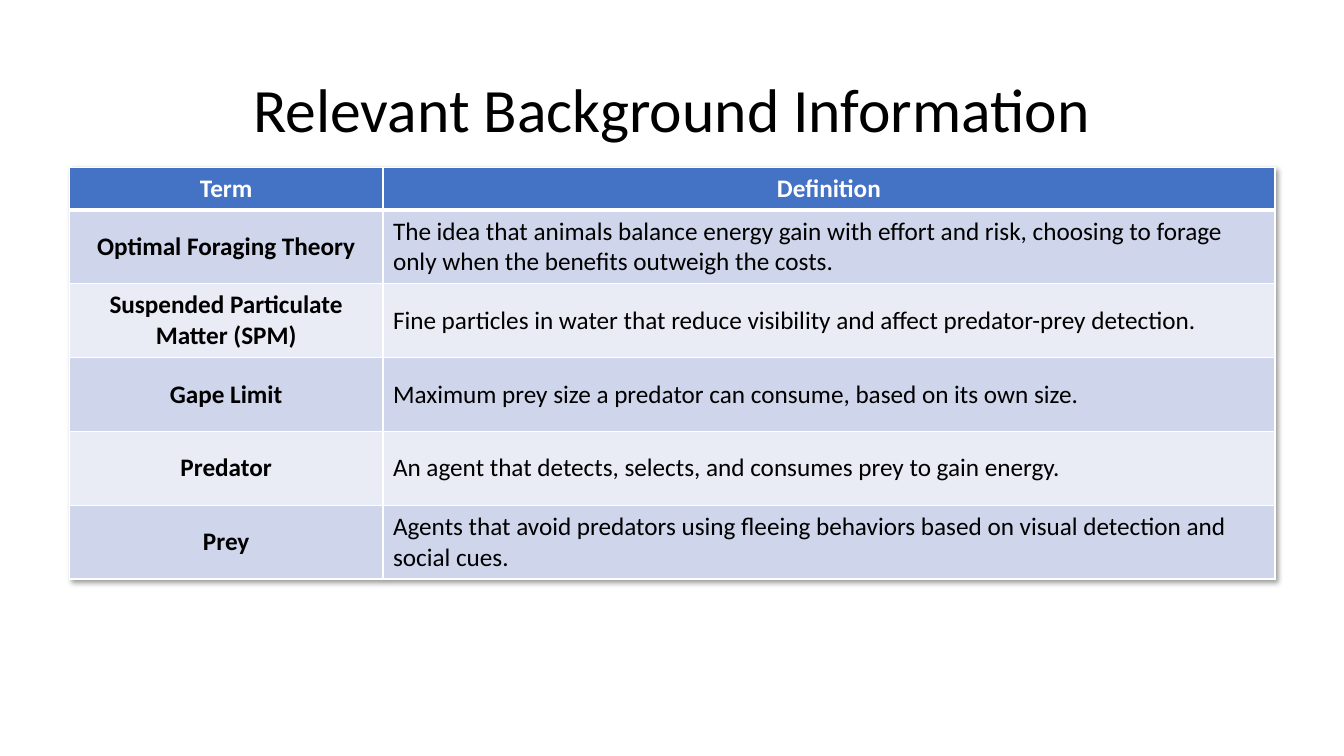
"""Build a slide with a title and a table of terms and definitions."""
from lxml.etree import SubElement
from pptx import Presentation
from pptx.dml.color import RGBColor
from pptx.enum.text import MSO_ANCHOR, PP_ALIGN
from pptx.oxml import parse_xml
from pptx.oxml.ns import qn
from pptx.util import Cm, Pt

WHITE, BLACK, HEADER = "FFFFFF", "000000", "4472C4"
BANDS = ("CFD5EA", "E9EBF5")
SHADOW = (
    '<a:effectLst xmlns:a="http://schemas.openxmlformats.org/drawingml/2006/main">'
    '<a:outerShdw blurRad="50800" dist="38100" dir="2700000" algn="tl" rotWithShape="0">'
    '<a:srgbClr val="000000"><a:alpha val="40000"/></a:srgbClr>'
    '</a:outerShdw></a:effectLst>'
)
ROWS = [
    ("Term", "Definition"),
    ("Optimal Foraging Theory",
     "The idea that animals balance energy gain with effort and risk, "
     "choosing to forage only when the benefits outweigh the costs."),
    ("Suspended Particulate Matter (SPM)",
     "Fine particles in water that reduce visibility and affect predator-prey detection."),
    ("Gape Limit",
     "Maximum prey size a predator can consume, based on its own size."),
    ("Predator",
     "An agent that detects, selects, and consumes prey to gain energy."),
    ("Prey",
     "Agents that avoid predators using fleeing behaviors based on "
     "visual detection and social cues."),
]


def rgb(value):
    return RGBColor.from_string(value)


class SlideBuilder:
    def __init__(self, slide, font="Calibri"):
        self.slide = slide
        self.font = font

    def style(self, p, size, color, bold=False, centered=True):
        p.alignment = PP_ALIGN.CENTER if centered else PP_ALIGN.LEFT
        p.font.name, p.font.size, p.font.bold = self.font, Pt(size), bold
        p.font.color.rgb = rgb(color)

    def title(self, text, left, top, width, height):
        tf = self.slide.shapes.add_textbox(Cm(left), Cm(top), Cm(width), Cm(height)).text_frame
        tf.word_wrap = True
        tf.vertical_anchor = MSO_ANCHOR.MIDDLE
        p = tf.paragraphs[0]
        p.text = text
        p.line_spacing = 0.9
        self.style(p, 44, BLACK)

    def borders(self, cell, top, bottom):
        tc_pr = cell._tc.get_or_add_tcPr()
        for side, width in (("L", 1), ("R", 1), ("T", top), ("B", bottom)):
            ln = SubElement(tc_pr, qn(f"a:ln{side}"), w=str(Pt(width)))
            fill = SubElement(ln, qn("a:solidFill"))
            SubElement(fill, qn("a:srgbClr"), val=WHITE)

    def cell(self, cell, text, row, col):
        header = row == 0
        cell.text = text
        cell.vertical_anchor = MSO_ANCHOR.MIDDLE
        self.style(cell.text_frame.paragraphs[0], 18, WHITE if header else BLACK,
                   bold=header or col == 0, centered=header or col == 0)
        self.borders(cell, 3 if row == 1 else 1, 3 if header else 1)
        cell.fill.solid()
        cell.fill.fore_color.rgb = rgb(HEADER if header else BANDS[(row - 1) % 2])

    def table(self, rows, left, top, widths, header_height, row_height):
        heights = [header_height] + [row_height] * (len(rows) - 1)
        table = self.slide.shapes.add_table(
            len(rows), len(widths), Cm(left), Cm(top),
            Cm(sum(widths)), Cm(sum(heights))).table
        table._tbl.tblPr.insert(0, parse_xml(SHADOW))
        for column, width in zip(table.columns, widths):
            column.width = Cm(width)
        for r, (texts, height) in enumerate(zip(rows, heights)):
            table.rows[r].height = Cm(height)
            for c, text in enumerate(texts):
                self.cell(table.cell(r, c), text, r, c)


def main():
    prs = Presentation()
    prs.slide_width, prs.slide_height = Cm(33.87), Cm(19.05)
    s = SlideBuilder(prs.slides.add_slide(prs.slide_layouts[6]))
    s.title("Relevant Background Information", 2.33, 1, 29.21, 3.68)
    s.table(ROWS, 1.75, 4.22, (7.9, 22.48), 1.07, 1.86)
    prs.save("out.pptx")


if __name__ == "__main__":
    main()
